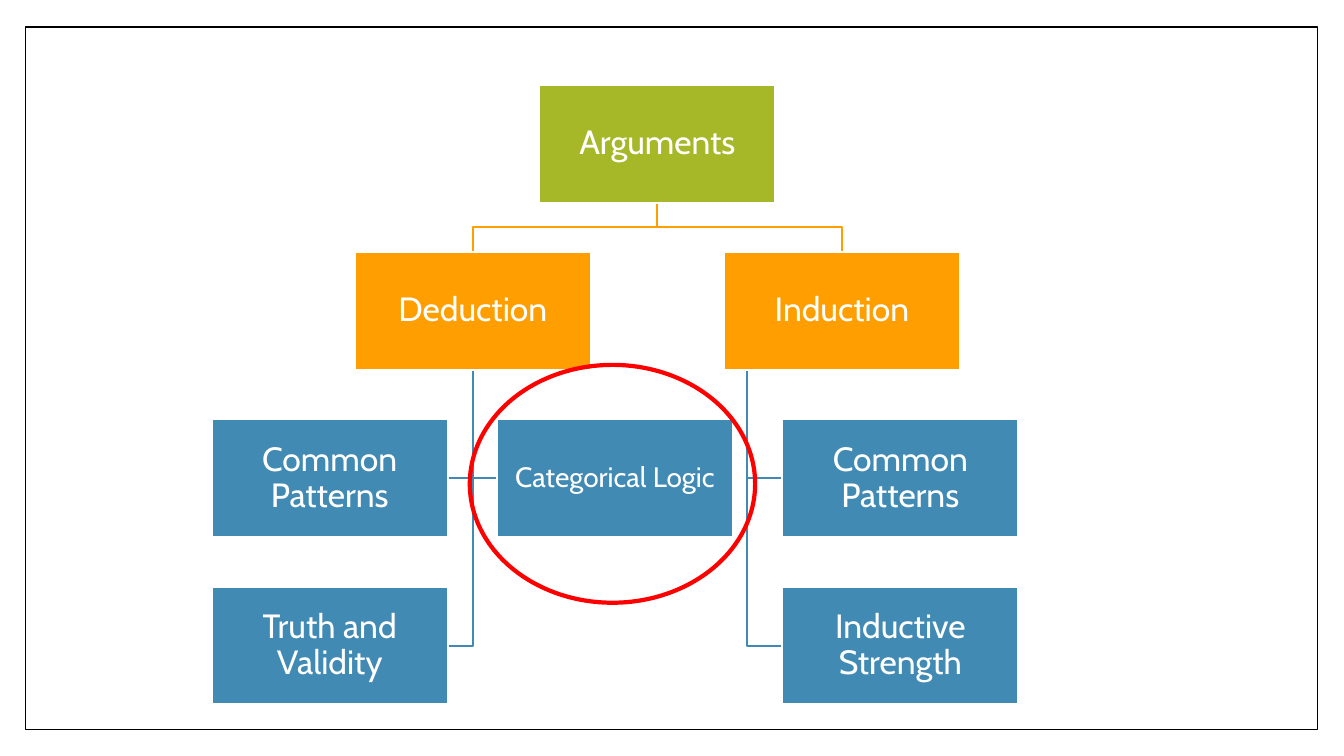
import dataclasses

import pptx
import pptx.dml.color
import pptx.enum.shapes
import pptx.enum.text
import pptx.util

Inches = pptx.util.Inches
Pt = pptx.util.Pt
Shapes = pptx.enum.shapes.MSO_SHAPE


@dataclasses.dataclass(frozen=True)
class Theme:
    font: str = "Cabin"
    white: str = "FFFFFF"
    black: str = "000000"
    green: str = "A6B727"
    orange: str = "FE9E00"
    blue: str = "418AB3"
    red: str = "FF0000"
    label_size: int = 24
    small_size: int = 20
    frame_line: float = 1
    tree_line: float = 1.5
    ring_line: float = 3


class TreePage:
    """Draws the parts of a tree diagram on one page."""

    def __init__(self, page, theme):
        self.page = page
        self.theme = theme

    def paint(self, shape, fill, line, width):
        shape.shadow.inherit = False
        if fill:
            shape.fill.solid()
            shape.fill.fore_color.rgb = pptx.dml.color.RGBColor.from_string(fill)
        else:
            shape.fill.background()
        shape.line.color.rgb = pptx.dml.color.RGBColor.from_string(line)
        shape.line.width = Pt(width)

    def outline(self, kind, left, top, width, height, fill, line, weight):
        shape = self.page.shapes.add_shape(
            kind, Inches(left), Inches(top), Inches(width), Inches(height))
        self.paint(shape, fill, line, weight)
        return shape

    def branch(self, points, color):
        corners = [(Inches(x), Inches(y)) for x, y in points]
        builder = self.page.shapes.build_freeform(*corners[0])
        builder.add_line_segments(corners[1:], close=False)
        self.paint(builder.convert_to_shape(), None, color, self.theme.tree_line)

    def node(self, text, left, top, fill, size, inset=0.02):
        box = self.outline(Shapes.RECTANGLE, left, top, NODE_WIDTH, NODE_HEIGHT,
                           fill, self.theme.white, self.theme.tree_line)
        frame = box.text_frame
        frame.word_wrap = True
        frame.vertical_anchor = pptx.enum.text.MSO_ANCHOR.MIDDLE
        frame.margin_left = frame.margin_right = Inches(inset)
        frame.margin_top = frame.margin_bottom = Inches(inset)
        para = frame.paragraphs[0]
        para.alignment = pptx.enum.text.PP_ALIGN.CENTER
        para.line_spacing = 0.9
        span = para.add_run()
        span.text = text
        span.font.name = self.theme.font
        span.font.size = Pt(size)
        span.font.color.rgb = pptx.dml.color.RGBColor.from_string(self.theme.white)


# Tree grid
NODE_WIDTH, NODE_HEIGHT = 2.34, 1.17
ROWS = [round(0.84 + 1.66 * level, 2) for level in range(4)]
ROOT_LEFT = 5.35
DEDUCTION_LEFT, INDUCTION_LEFT = 3.52, 7.18
LEFT_COLUMN, MIDDLE_COLUMN, RIGHT_COLUMN = 2.1, 4.93, 7.76
DEDUCTION_TRUNK, INDUCTION_TRUNK = 4.69, 7.41


def main():
    deck = pptx.Presentation()
    deck.slide_width, deck.slide_height = Inches(13.33), Inches(7.5)
    theme = Theme()
    tree = TreePage(deck.slides.add_slide(deck.slide_layouts[6]), theme)

    # Page frame
    tree.outline(Shapes.RECTANGLE, 0.25, 0.27, 12.82, 6.97,
                 theme.white, theme.black, theme.frame_line)

    # Branches from each trunk to the leaves
    left_edge = LEFT_COLUMN + NODE_WIDTH
    for trunk, end, level in [
        (INDUCTION_TRUNK, RIGHT_COLUMN, 3),
        (INDUCTION_TRUNK, RIGHT_COLUMN, 2),
        (DEDUCTION_TRUNK, left_edge, 3),
        (DEDUCTION_TRUNK, MIDDLE_COLUMN, 2),
        (DEDUCTION_TRUNK, left_edge, 2),
    ]:
        middle = ROWS[level] + NODE_HEIGHT / 2
        tree.branch([(trunk, ROWS[1] + NODE_HEIGHT), (trunk, middle), (end, middle)],
                    theme.blue)

    # Branches from the root
    root_x, root_bottom = ROOT_LEFT + NODE_WIDTH / 2, ROWS[0] + NODE_HEIGHT
    fork = (root_bottom + ROWS[1]) / 2
    for child_left in (INDUCTION_LEFT, DEDUCTION_LEFT):
        child_x = child_left + NODE_WIDTH / 2
        tree.branch([(root_x, root_bottom), (root_x, fork),
                     (child_x, fork), (child_x, ROWS[1])], theme.orange)

    # Nodes
    level_fills = [theme.green, theme.orange, theme.blue, theme.blue]
    for text, left, level in [
        ("Arguments", ROOT_LEFT, 0),
        ("Deduction", DEDUCTION_LEFT, 1),
        ("Common Patterns", LEFT_COLUMN, 2),
        ("Truth and Validity", LEFT_COLUMN, 3),
        ("Induction", INDUCTION_LEFT, 1),
        ("Common Patterns", RIGHT_COLUMN, 2),
        ("Inductive Strength", RIGHT_COLUMN, 3),
    ]:
        tree.node(text, left, ROWS[level], level_fills[level], theme.label_size)
    tree.node("Categorical Logic", MIDDLE_COLUMN, ROWS[2], theme.blue,
              theme.small_size, inset=0.01)

    # Highlight ring
    tree.outline(Shapes.OVAL, 4.66, 3.62, 2.83, 2.36, None, theme.red, theme.ring_line)

    deck.save("out.pptx")


if __name__ == "__main__":
    main()
